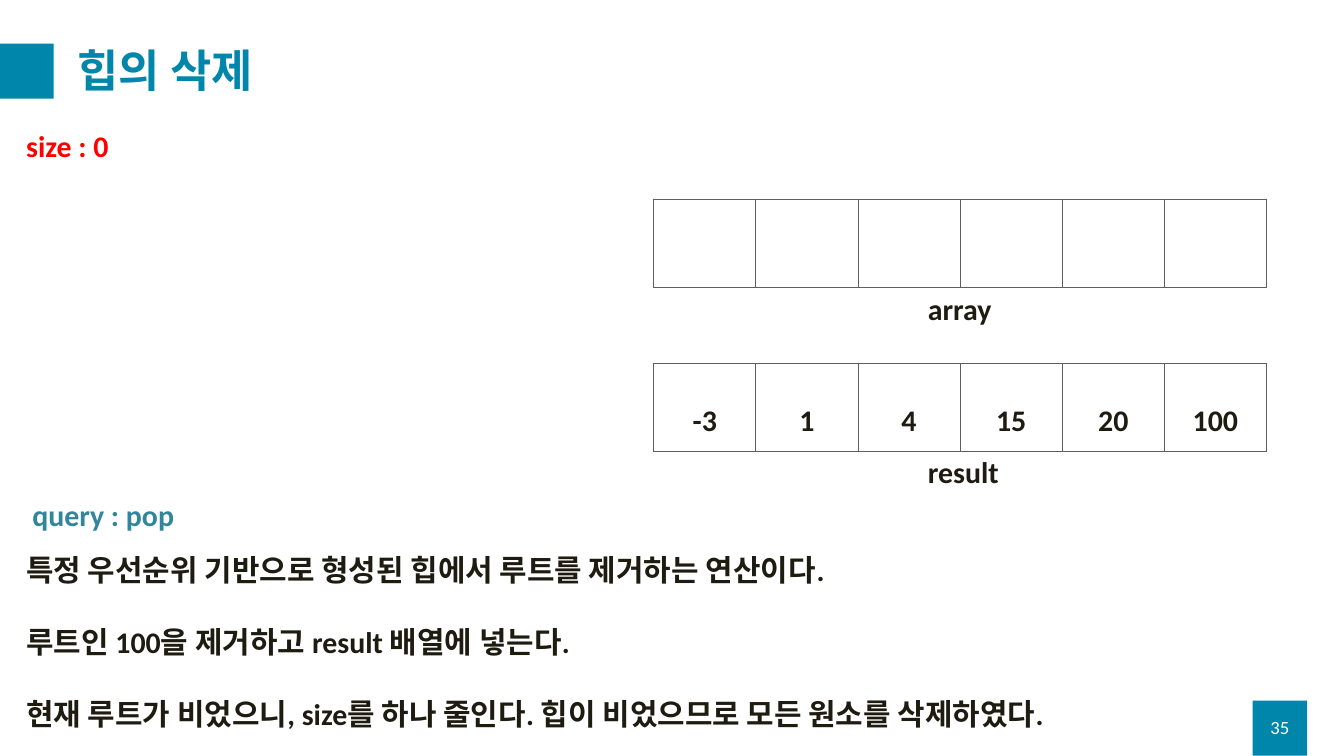
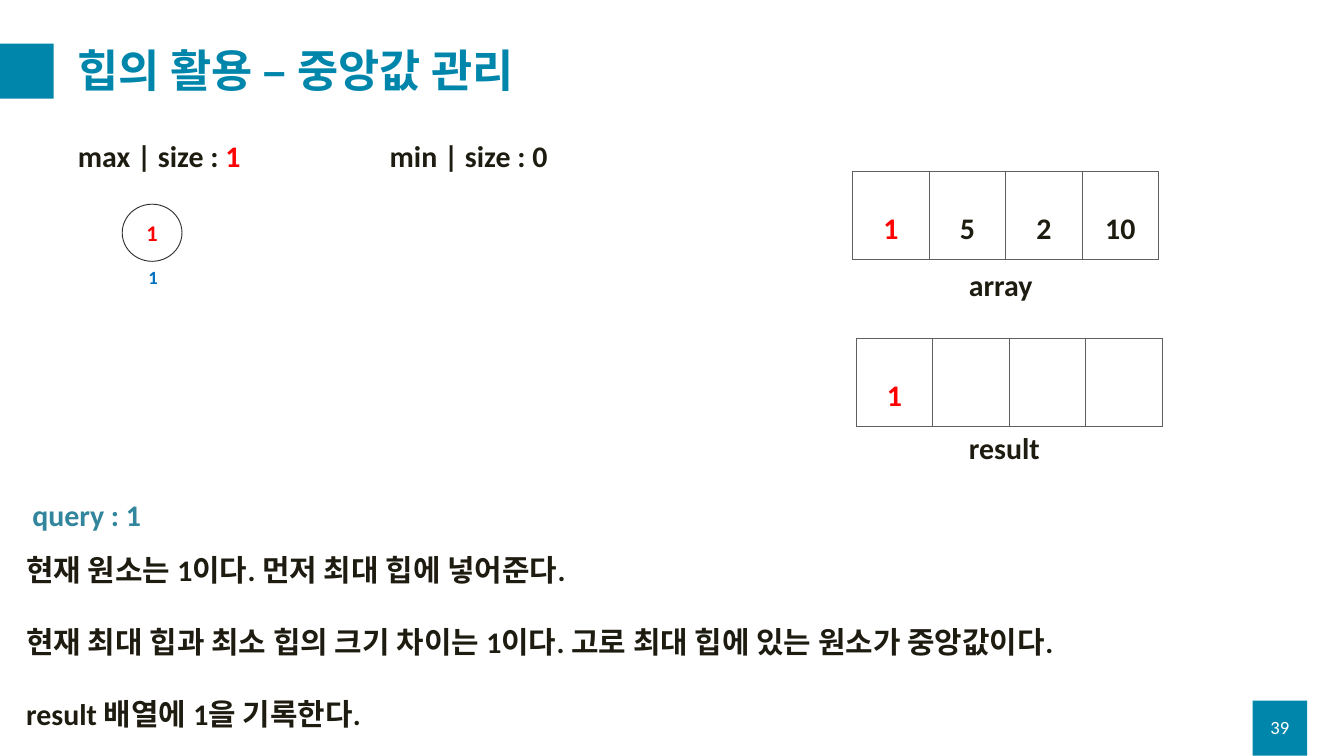
from dataclasses import dataclass

from lxml import etree
from pptx import Presentation
from pptx import util as u
from pptx.dml.color import RGBColor
from pptx.enum import shapes, text
from pptx.oxml import ns


@dataclass(frozen=True)
class Theme:
    font: str = "Calibri"
    teal: str = "0086AB"
    ink: str = "1E1C11"
    red: str = "FF0000"
    query: str = "31859C"
    index: str = "0070C0"
    white: str = "FFFFFF"
    ring: str = "303030"
    grid: str = "5F5F5F"
    title: int = 48
    main: int = 32
    node: int = 24
    small: int = 20
    gap: int = 39


T = Theme()
RED, INK = T.red, T.ink
CENTER = text.PP_ALIGN.CENTER
MIDDLE = text.MSO_ANCHOR.MIDDLE
ROW = 3.33  # height of an array row, cm
LINE = 1.63  # height of a one-line box, cm

# Places are in cm; a run is (words, colour).
# Array: name, name place, row place, cell width, cells.
SLIDES = [
    dict(
        title="힙의 삭제",
        page="35",
        heads=[((0.74, 4.7, 6.58), [("size : 0", RED)])],
        arrays=[
            ("array", (34.82, 10.87, 2.92), (24.71, 7.52), 3.86,
             [("", INK)] * 6),
            ("result", (34.82, 17.04, 3.76), (24.71, 13.72), 3.86,
             [(n, INK) for n in ("-3", "1", "4", "15", "20", "100")]),
        ],
        nodes=[],
        query="query : pop",
        notes=[
            "특정 우선순위 기반으로 형성된 힙에서 루트를 제거하는 연산이다.",
            "루트인 100을 제거하고 result 배열에 넣는다.",
            "현재 루트가 비었으니, size를 하나 줄인다. 힙이 비었으므로 모든 원소를 삭제하였다.",
        ],
    ),
    dict(
        title="힙의 활용 – 중앙값 관리",
        page="39",
        heads=[
            ((2.69, 5.08, 7.62), [("max | size : ", INK), ("1", RED)]),
            ((14.48, 5.08, 7.62), [("min | size : 0", INK)]),
        ],
        arrays=[
            ("array", (36.37, 9.96, 2.92), (32.23, 6.48), 2.89,
             [("1", RED), ("5", INK), ("2", INK), ("10", INK)]),
            ("result", (36.37, 16.13, 3.76), (32.36, 12.78), 2.89,
             [("1", RED)] + [("", INK)] * 3),
        ],
        nodes=[("1", "1", (4.62, 7.72))],
        query="query : 1",
        notes=[
            "현재 원소는 1이다. 먼저 최대 힙에 넣어준다.",
            "현재 최대 힙과 최소 힙의 크기 차이는 1이다. 고로 최대 힙에 있는 원소가 중앙값이다.",
            "result 배열에 1을 기록한다.",
        ],
    ),
]


def rgb(code):
    return RGBColor.from_string(code)


def cms(*sizes):
    return [u.Cm(s) for s in sizes]


def write(para, runs, size, bold=True):
    for words, color in runs:
        run = para.add_run()
        run.text = words
        font = run.font
        font.name, font.size, font.bold = T.font, u.Pt(size), bold
        font.color.rgb = rgb(color)


def box(slide, place, lines, size=T.main, wrap=True, anchor=None,
        align=None, bold=True):
    """Add a text box; each line is a list of runs."""
    frame = slide.shapes.add_textbox(*cms(*place)).text_frame
    frame.word_wrap = wrap
    if anchor is not None:
        frame.vertical_anchor = anchor
    for i, runs in enumerate(lines):
        para = frame.add_paragraph() if i else frame.paragraphs[0]
        if i:
            para.space_before = u.Pt(T.gap)
        para.alignment = align
        write(para, runs, size, bold)
    return frame


def solid(slide, kind, place, fill, line=None):
    shape = slide.shapes.add_shape(kind, *cms(*place))
    shape.shadow.inherit = False
    shape.fill.solid()
    shape.fill.fore_color.rgb = rgb(fill)
    if line:
        shape.line.color.rgb = rgb(line)
        shape.line.width = u.Pt(1)
    else:
        shape.line.fill.background()
    return shape


def border(cell):
    props = cell._tc.get_or_add_tcPr()
    for i, side in enumerate(("lnL", "lnR", "lnT", "lnB")):
        line = etree.Element(ns.qn(f"a:{side}"), w=str(u.Pt(1)))
        fill = etree.SubElement(line, ns.qn("a:solidFill"))
        etree.SubElement(fill, ns.qn("a:srgbClr"), val=T.grid)
        props.insert(i, line)


def array(slide, name, spot, place, width, cells):
    size = cms(*place, width * len(cells), ROW)
    table = slide.shapes.add_table(1, len(cells), *size).table
    table.first_row = table.horz_banding = False
    for i, (value, color) in enumerate(cells):
        table.columns[i].width = u.Cm(width)
        cell = table.cell(0, i)
        cell.fill.solid()
        cell.fill.fore_color.rgb = rgb(T.white)
        border(cell)
        if value:
            para = cell.text_frame.paragraphs[0]
            para.alignment, para.line_spacing = CENTER, 2.0
            write(para, [(value, color)], T.main)
    box(slide, (*spot, LINE), [[(name, INK)]], wrap=False)


def node(slide, value, index, place):
    """Draw a heap node with its index underneath."""
    x, y = place
    ring = solid(slide, shapes.MSO_SHAPE.OVAL, (x, y, 2.26, 2.16),
                 T.white, T.ring)
    frame = ring.text_frame
    frame.vertical_anchor = MIDDLE
    frame.paragraphs[0].alignment = CENTER
    write(frame.paragraphs[0], [(value, RED)], T.node)
    box(slide, (x + 0.74, y + 2.19, 0.76, 1.12), [[(index, T.index)]],
        T.small, wrap=False)


def base(slide, title, page):
    """Draw the title, its band and the page badge."""
    for x, y in ((47.35, 26.49), (-0.03, 1.65)):
        solid(slide, shapes.MSO_SHAPE.RECTANGLE, (x, y, 2.06, 2.08), T.teal)
    head = box(slide, (2.69, 1.27, 46.36, 3), [[(title, T.teal)]],
               T.title, anchor=MIDDLE)
    head.paragraphs[0].line_spacing = 0.9
    box(slide, (47.35, 26.72, 2.06, 1.52), [[(page, T.white)]], T.small,
        anchor=MIDDLE, align=CENTER, bold=False)


def main():
    deck = Presentation()
    deck.slide_width, deck.slide_height = cms(50.8, 28.58)
    for data in SLIDES:
        slide = deck.slides.add_slide(deck.slide_layouts[6])
        base(slide, data["title"], data["page"])
        for item in data["arrays"]:
            array(slide, *item)
        for place, runs in data["heads"]:
            box(slide, (*place, LINE), [runs])
        for item in data["nodes"]:
            node(slide, *item)
        box(slide, (0.97, 18.64, 17.09, LINE), [[(data["query"], T.query)]])
        box(slide, (0.74, 20.73, 48.67, 7.09),
            [[(note, INK)] for note in data["notes"]])
    deck.save("out.pptx")


if __name__ == "__main__":
    main()
